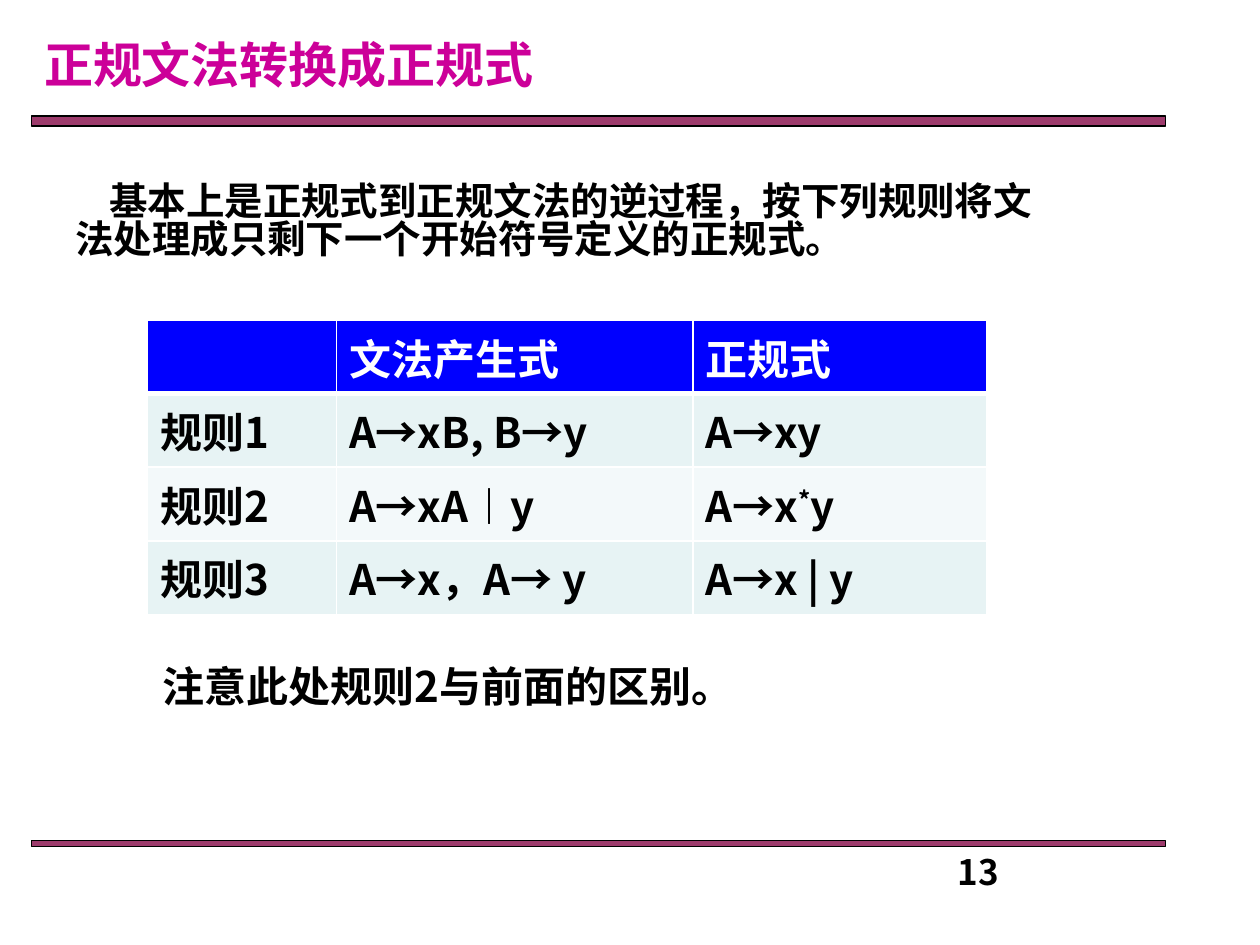
from lxml import etree
from pptx import Presentation
from pptx.dml.color import RGBColor
from pptx.enum.shapes import MSO_SHAPE
from pptx.enum.text import MSO_ANCHOR, MSO_AUTO_SIZE, PP_ALIGN
from pptx.oxml.ns import qn
from pptx.util import Inches, Pt

RECTANGLE = MSO_SHAPE.RECTANGLE
TOP, MIDDLE = MSO_ANCHOR.TOP, MSO_ANCHOR.MIDDLE
LEFT = PP_ALIGN.LEFT
NO_FIT = MSO_AUTO_SIZE.NONE

FONT = "Noto Sans CJK SC"
BLACK, WHITE = "000000", "FFFFFF"
PLUM, MAGENTA, HEADER_BLUE = "993366", "CC0099", "0000FF"
BAND_FILLS = ("E7F3F4", "F3F9FA")

COLUMN_WIDTHS = (1.5, 2.83, 2.33)
ROW_HEIGHT = 0.58
# A cell with several spans is a tuple of (text, superscript) pairs.
RULES = (
    ("", "文法产生式", "正规式"),
    ("规则1", "A→xB, B→y", "A→xy"),
    ("规则2", "A→xA︱y", (("A→x", False), ("*", True), ("y", False))),
    ("规则3", "A→x，A→ y", "A→x | y"),
)


def color(value):
    return RGBColor.from_string(value)


def add_span(para, text, size, fill=BLACK, superscript=False):
    span = para.add_run()
    span.text = text
    span.font.name = FONT
    span.font.size = Pt(size)
    span.font.bold = True
    span.font.color.rgb = color(fill)
    properties = span.font._element
    etree.SubElement(properties, qn("a:ea"), typeface=FONT)
    if superscript:
        properties.set("baseline", "30000")


def format_text(box, text, size, fill=BLACK, anchor=TOP, top_inset=0.05,
                line_spacing=None, first_indent=0):
    frame = box.text_frame
    frame.word_wrap = True
    frame.auto_size = NO_FIT
    frame.vertical_anchor = anchor
    frame.margin_top = Inches(top_inset)
    para = frame.paragraphs[0]
    para.alignment = LEFT
    para.line_spacing = line_spacing
    if first_indent:
        para._p.get_or_add_pPr().set("indent", str(Inches(first_indent)))
    add_span(para, text, size, fill)


def add_text(page, place, text, size, **options):
    box = page.shapes.add_textbox(*map(Inches, place))
    format_text(box, text, size, **options)


def add_title(page, place, text):
    title = page.shapes.title
    title.left, title.top, title.width, title.height = map(Inches, place)
    format_text(title, text, 28, fill=MAGENTA, anchor=MIDDLE)


def add_bar(page, top, height):
    bar = page.shapes.add_shape(
        RECTANGLE, Inches(0.25), Inches(top), Inches(9), Inches(height))
    bar.shadow.inherit = False
    bar.fill.solid()
    bar.fill.fore_color.rgb = color(PLUM)
    tint = bar._element.spPr.find(qn("a:solidFill")).find(qn("a:srgbClr"))
    etree.SubElement(tint, qn("a:alpha"), val="96000")
    bar.line.color.rgb = color(BLACK)
    bar.line.width = Pt(0.75)


def set_borders(cell, widths):
    """Draw white edges; widths maps the edges L, R, T, B to points."""
    properties = cell._tc.get_or_add_tcPr()
    for position, (edge, width) in enumerate(widths.items()):
        line = etree.Element(qn(f"a:ln{edge}"), w=str(Pt(width)))
        paint = etree.SubElement(line, qn("a:solidFill"))
        etree.SubElement(paint, qn("a:srgbClr"), val=WHITE)
        properties.insert(position, line)


def add_rule_table(page):
    table = page.shapes.add_table(
        len(RULES), len(COLUMN_WIDTHS), Inches(1.17), Inches(2.54),
        Inches(sum(COLUMN_WIDTHS)), Inches(ROW_HEIGHT * len(RULES))).table
    for column, width in zip(table.columns, COLUMN_WIDTHS):
        column.width = Inches(width)
    for row_index, contents in enumerate(RULES):
        table.rows[row_index].height = Inches(ROW_HEIGHT)
        header = row_index == 0
        band = HEADER_BLUE if header else BAND_FILLS[(row_index - 1) % 2]
        for column_index, content in enumerate(contents):
            cell = table.cell(row_index, column_index)
            cell.fill.solid()
            cell.fill.fore_color.rgb = color(band)
            set_borders(cell, {"L": 1, "R": 1,
                               "T": 3 if row_index == 1 else 1,
                               "B": 3 if header else 1})
            spans = ((content, False),) if isinstance(content, str) else content
            para = cell.text_frame.paragraphs[0]
            para.alignment = LEFT
            for text, superscript in spans:
                if text:
                    add_span(para, text, 24, WHITE if header else BLACK,
                             superscript)


def main():
    deck = Presentation()
    deck.slide_width, deck.slide_height = Inches(10), Inches(7.5)
    page = deck.slides.add_slide(deck.slide_layouts[5])
    add_bar(page, 0.92, 0.08)
    add_bar(page, 6.67, 0.05)
    add_text(page, (0.5, 1.42, 8, 0.84),
             "基本上是正规式到正规文法的逆过程，按下列规则将文法处理成只剩下一个开始符号定义的正规式。",
             22, line_spacing=0.82, first_indent=0.27)
    add_title(page, (0.25, 0.26, 6.33, 0.5), "正规文法转换成正规式")
    add_text(page, (7.5, 6.75, 2.33, 0.27), "13", 20, top_inset=0)
    add_rule_table(page)
    add_text(page, (1.19, 5.24, 7.14, 0.5), "注意此处规则2与前面的区别。", 24,
             top_inset=0)
    deck.save("out.pptx")


if __name__ == "__main__":
    main()
